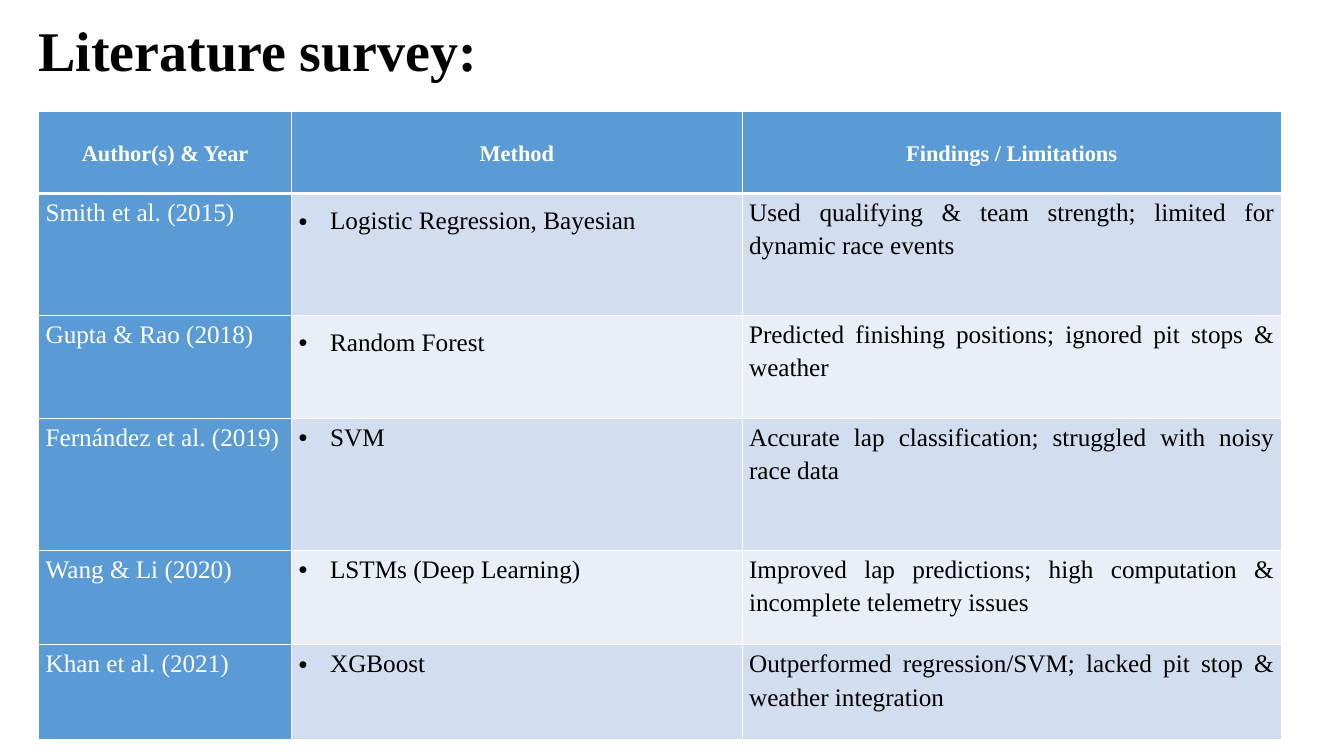
from lxml import etree
from pptx import Presentation
from pptx.dml.color import RGBColor
from pptx.enum.text import MSO_ANCHOR, MSO_AUTO_SIZE, PP_ALIGN
from pptx.oxml.ns import qn
from pptx.util import Pt

LEFT, CENTER, JUSTIFY = PP_ALIGN.LEFT, PP_ALIGN.CENTER, PP_ALIGN.JUSTIFY
TOP, MIDDLE = MSO_ANCHOR.TOP, MSO_ANCHOR.MIDDLE
NO_AUTOFIT = MSO_AUTO_SIZE.NONE
TITLE_ONLY = 5

FONT = "Times New Roman"
BLACK = RGBColor(0x00, 0x00, 0x00)
WHITE = RGBColor(0xFF, 0xFF, 0xFF)
BLUE = RGBColor(0x5B, 0x9B, 0xD5)
BAND_COLORS = (RGBColor(0xD2, 0xDE, 0xEF), RGBColor(0xEA, 0xEF, 0xF7))

COLUMN_WIDTHS = (180.7, 321.8, 385.2)
ROW_HEIGHTS = (58.3, 87.1, 73.4, 94.3, 67.7, 67.7)
HEADERS = ("Author(s) & Year", "Method", "Findings / Limitations")
# Author and year, method, line spacing of the method, findings
STUDIES = (
    ("Smith et al. (2015)", "Logistic Regression, Bayesian", 1.5,
     "Used qualifying & team strength; limited for dynamic race events"),
    ("Gupta & Rao (2018)", "Random Forest", 1.5,
     "Predicted finishing positions; ignored pit stops & weather"),
    ("Fernández et al. (2019)", "SVM", 1.2,
     "Accurate lap classification; struggled with noisy race data"),
    ("Wang & Li (2020)", "LSTMs (Deep Learning)", 1.2,
     "Improved lap predictions; high computation & incomplete telemetry issues"),
    ("Khan et al. (2021)", "XGBoost", 1.2,
     "Outperformed regression/SVM; lacked pit stop & weather integration"),
)


def add_run(paragraph, text, size, color, bold=False):
    run = paragraph.add_run()
    run.text = text
    run.font.name = FONT
    run.font.size = Pt(size)
    run.font.bold = bold
    run.font.color.rgb = color


def add_title(slide, text):
    title = slide.shapes.title
    title.left, title.top, title.width, title.height = Pt(20.2), Pt(7.2), Pt(895), Pt(55.4)
    frame = title.text_frame
    frame.auto_size = NO_AUTOFIT
    frame.word_wrap = True
    frame.vertical_anchor = TOP
    paragraph = frame.paragraphs[0]
    paragraph.alignment = LEFT
    add_run(paragraph, text, 40, BLACK, bold=True)


def set_borders(cell, bottom_width):
    properties = cell._tc.get_or_add_tcPr()
    for side, width in (("L", 1), ("R", 1), ("T", 1), ("B", bottom_width)):
        line = etree.SubElement(properties, qn(f"a:ln{side}"), w=str(Pt(width)))
        fill = etree.SubElement(line, qn("a:solidFill"))
        etree.SubElement(fill, qn("a:srgbClr"), val=str(WHITE))


def add_bullet(paragraph):
    properties = paragraph._p.get_or_add_pPr()
    properties.set("marL", str(Pt(22.5)))
    properties.set("indent", str(Pt(-22.5)))
    etree.SubElement(properties, qn("a:buFont"), typeface="Arial")
    etree.SubElement(properties, qn("a:buChar"), char="•")


def fill_cell(cell, text, fill, color, spacing=1.2, header=False, bullet=False):
    cell.margin_left = cell.margin_right = Pt(5)
    cell.margin_top = cell.margin_bottom = Pt(0)
    cell.vertical_anchor = MIDDLE if header else TOP
    set_borders(cell, 3 if header else 1)
    cell.fill.solid()
    cell.fill.fore_color.rgb = fill
    paragraph = cell.text_frame.paragraphs[0]
    paragraph.alignment = CENTER if header else JUSTIFY
    paragraph.line_spacing = spacing
    if bullet:
        add_bullet(paragraph)
    add_run(paragraph, text, 16 if header else 18, color, bold=header)


def add_survey_table(slide):
    frame = slide.shapes.add_table(
        len(ROW_HEIGHTS), len(COLUMN_WIDTHS), Pt(27.6), Pt(79.9),
        Pt(sum(COLUMN_WIDTHS)), Pt(sum(ROW_HEIGHTS)))
    table = frame.table
    for column, width in zip(table.columns, COLUMN_WIDTHS):
        column.width = Pt(width)
    for row, height in zip(table.rows, ROW_HEIGHTS):
        row.height = Pt(height)

    for column, header in enumerate(HEADERS):
        fill_cell(table.cell(0, column), header, BLUE, WHITE, spacing=1.07, header=True)
    for index, (author, method, spacing, findings) in enumerate(STUDIES):
        row = index + 1
        band = BAND_COLORS[index % 2]
        fill_cell(table.cell(row, 0), author, BLUE, WHITE)
        fill_cell(table.cell(row, 1), method, band, BLACK, spacing, bullet=True)
        fill_cell(table.cell(row, 2), findings, band, BLACK)


def main():
    presentation = Presentation()
    presentation.slide_width, presentation.slide_height = Pt(960), Pt(540)
    slide = presentation.slides.add_slide(presentation.slide_layouts[TITLE_ONLY])
    add_title(slide, "Literature survey:")
    add_survey_table(slide)
    presentation.save("out.pptx")


if __name__ == "__main__":
    main()
